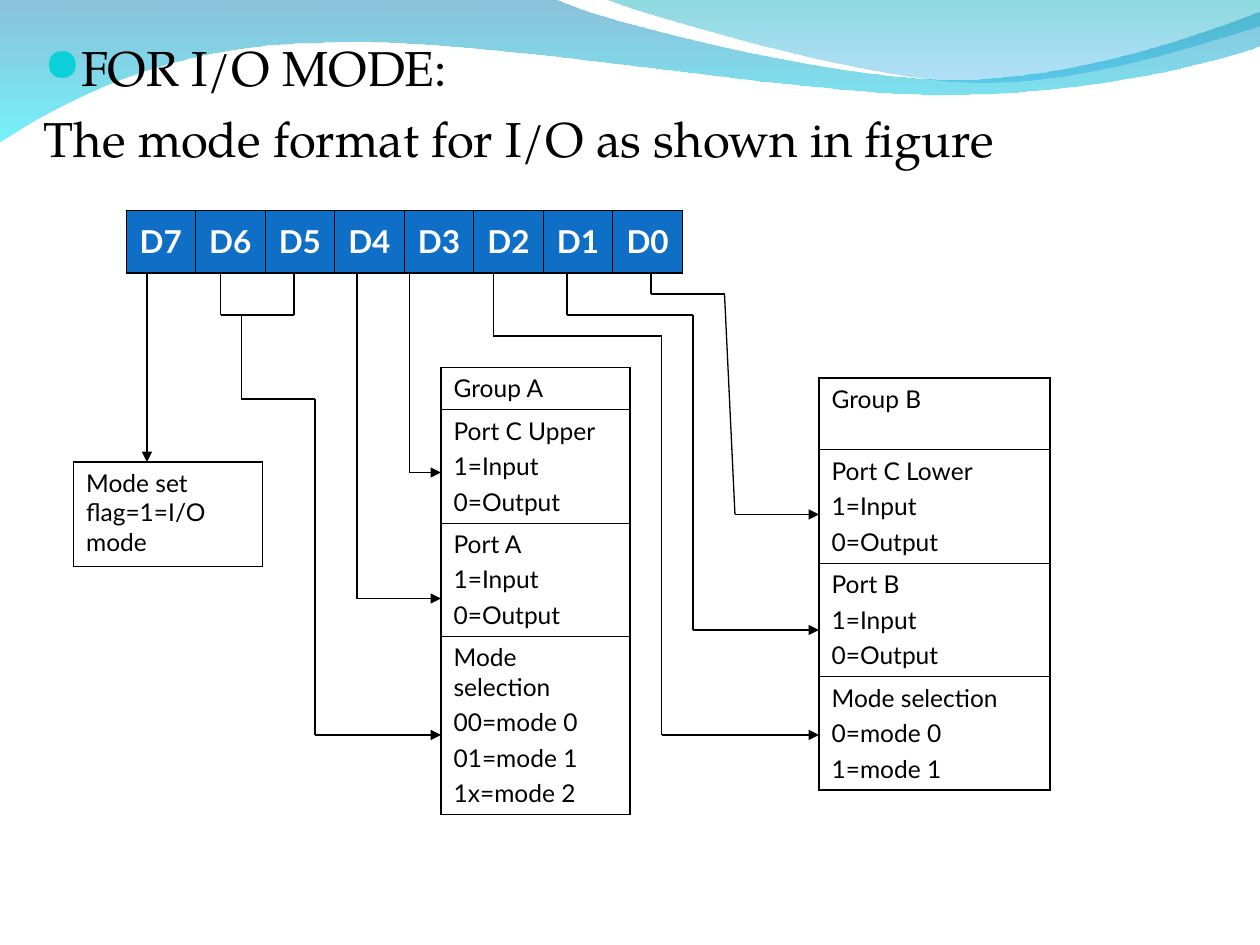
from itertools import pairwise
from lxml.etree import SubElement
from pptx import Presentation
from pptx.dml.color import RGBColor
from pptx.enum.shapes import MSO_CONNECTOR
from pptx.enum.text import MSO_ANCHOR, PP_ALIGN
from pptx.oxml import parse_xml
from pptx.oxml.ns import nsdecls, qn
from pptx.util import Inches, Pt

BLACK = RGBColor(0x00, 0x00, 0x00)
WHITE = RGBColor(0xFF, 0xFF, 0xFF)
BLUE = RGBColor(0x0F, 0x6F, 0xC6)
DEEP_BLUE = RGBColor(0x00, 0x79, 0xAF)
CYAN = RGBColor(0x00, 0xEB, 0xF8)
TEAL = RGBColor(0x00, 0xAD, 0xB6)
SKY = RGBColor(0x00, 0x9B, 0xE5)
AQUA = RGBColor(0x0B, 0xD0, 0xD9)


def grid(units):
    return Inches(units / 12)


def set_border(cell, side, width):
    line = parse_xml(
        f'<a:{side} {nsdecls("a")} w="{Pt(width)}"><a:solidFill>'
        f'<a:srgbClr val="{BLACK}"/></a:solidFill></a:{side}>'
    )
    cell_properties = cell._tc.get_or_add_tcPr()
    cell_properties.insert(("lnL", "lnR", "lnT", "lnB").index(side), line)


deck = Presentation()
deck.slide_width = Inches(10)
deck.slide_height = Inches(7.5)
page = deck.slides.add_slide(deck.slide_layouts[6])

left_wave = [
    [(4.4, -0.01)],
    [(4.76, 0.17), (6.64, 0.63), (7.58, 0.63)],
    [(8.53, 0.63), (9.58, 0.26), (10, 0.09)],
    [(10.01, 0.36)],
    [(9.83, 0.44), (8.7, 0.76), (7.46, 0.75)],
    [(6.22, 0.75), (3.82, 0.28), (2.57, 0.34)],
    [(1.29, 0.35), (0.46, 0.83), (-0.01, 1.13)],
]
right_wave = [
    [(5.09, 0.11), (6.82, 0.62), (7.69, 0.65)],
    [(8.56, 0.69), (9.61, 0.32), (10, 0.21)],
    [(10, 0)],
]
for start, segments, colors, opacities in (
    ((0, -0.01), left_wave, (DEEP_BLUE, CYAN), (45, 55)),
    ((4.79, -0.01), right_wave, (TEAL, SKY), (45, 30)),
):
    builder = page.shapes.build_freeform(*map(Inches, start), scale=1.0)
    builder.add_line_segments([tuple(map(Inches, segment[-1])) for segment in segments], close=True)
    wave = builder.convert_to_shape()
    for line, segment in zip(list(wave.element.iter(qn("a:lnTo"))), segments):
        if len(segment) == 3:
            curve = parse_xml(f'<a:cubicBezTo {nsdecls("a")}/>')
            for x, y in segment:
                SubElement(curve, qn("a:pt"), x=str(Inches(x) - wave.left), y=str(Inches(y) - wave.top))
            line.getparent().replace(line, curve)
    wave.shadow.inherit = False
    wave.line.fill.background()
    wave.fill.gradient()
    wave.fill.gradient_angle = 270
    for stop, color in zip(wave.fill.gradient_stops, colors):
        stop.color.rgb = color
    for color_element, opacity in zip(wave.element.iter(qn("a:srgbClr")), opacities):
        SubElement(color_element, qn("a:alpha"), val=str(opacity * 1000))

box = page.shapes.add_textbox(Inches(0.25), Inches(0.25), Inches(9.58), Inches(6.92))
box.text_frame.word_wrap = True
box.text_frame.text = "FOR I/O MODE:\nThe mode format for I/O as shown in figure"
for para in box.text_frame.paragraphs:
    properties = para._p.get_or_add_pPr()
    properties.set("marL", str(Inches(0.3)))
    properties.set("indent", str(-Inches(0.3)))
    para.space_before = Pt(7)
    para.font.size = Pt(28)
    para.font.name = "TeX Gyre Pagella"
    para.font.color.rgb = BLACK
bullet_properties = box.text_frame.paragraphs[0]._p.pPr
for bullet in (
    f'<a:buClr {nsdecls("a")}><a:srgbClr val="{AQUA}"/></a:buClr>',
    f'<a:buSzPct {nsdecls("a")} val="95000"/>',
    f'<a:buFont {nsdecls("a")} typeface="OpenSymbol"/>',
    f'<a:buChar {nsdecls("a")} char="●"/>',
):
    bullet_properties.find(qn("a:defRPr")).addprevious(parse_xml(bullet))

bits = [f"D{number}" for number in range(7, -1, -1)]
directions = "1=Input\n0=Output"
group_a = ["Group A", f"Port C Upper\n{directions}", f"Port A\n{directions}",
           "Mode selection\n00=mode 0\n01=mode 1\n1x=mode 2"]
group_b = ["Group B", f"Port C Lower\n{directions}", f"Port B\n{directions}",
           "Mode selection\n0=mode 0\n1=mode 1"]
thin, thick = 0.45, 1.08
for left, top, width, heights, texts, outer, bottom, is_header in (
    (12, 20, 53, [0.5], bits, thin, 1.47, True),
    (42, 35, 18, [0.33, 0.9, 0.9, 1.41], group_a, thick, thick, False),
    (78, 36, 22, [0.57, 0.9, 0.9, 0.9], group_b, thick, thick, False),
    (7, 44, 18, [0.83], ["Mode set flag=1=I/O mode"], thick, thick, False),
):
    row_count = len(heights)
    column_count = len(texts) // row_count
    table = page.shapes.add_table(
        row_count, column_count, grid(left), grid(top), grid(width), Inches(sum(heights))).table
    table.first_row = is_header
    table.horz_banding = False
    for row, height in zip(table.rows, heights):
        row.height = Inches(height)
    for index, text in enumerate(texts):
        row_index, column_index = divmod(index, column_count)
        cell = table.cell(row_index, column_index)
        cell.text = text
        set_border(cell, "lnL", outer if column_index == 0 else thin)
        set_border(cell, "lnR", outer if column_index == column_count - 1 else thin)
        set_border(cell, "lnT", outer if row_index == 0 else thin)
        set_border(cell, "lnB", bottom if row_index == row_count - 1 else thin)
        if is_header:
            cell.fill.solid()
            cell.fill.fore_color.rgb = BLUE
            cell.vertical_anchor = MSO_ANCHOR.MIDDLE
        else:
            cell.fill.background()
        for para in cell.text_frame.paragraphs:
            para.alignment = PP_ALIGN.CENTER if is_header else PP_ALIGN.LEFT
            para.space_before = Pt(0 if is_header else 3.5)
            para.font.name = "Lato"
            para.font.size = Pt(18 if is_header else 14)
            para.font.bold = is_header
            para.font.color.rgb = WHITE if is_header else BLACK

for route, has_arrow in (
    ([(14, 26), (14, 44)], True),
    ([(21, 26), (21, 30), (28, 30), (28, 26)], False),
    ([(23, 30), (23, 38), (30, 38), (30, 70), (42, 70)], True),
    ([(34, 26), (34, 57), (42, 57)], True),
    ([(39, 26), (39, 45), (42, 45)], True),
    ([(47, 26), (47, 32), (63, 32), (63, 70), (78, 70)], True),
    ([(54, 26), (54, 30), (66, 30), (66, 60), (78, 60)], True),
    ([(62, 26), (62, 28), (69, 28), (70, 49), (78, 49)], True),
):
    for start, end in pairwise(route):
        connector = page.shapes.add_connector(MSO_CONNECTOR.STRAIGHT, *map(grid, start + end))
        connector.line.color.rgb = BLACK
        connector.line.width = Pt(0.75)
        shape_properties = connector.element.spPr
        SubElement(shape_properties, qn("a:effectLst"))
        if has_arrow and end == route[-1]:
            SubElement(shape_properties.find(qn("a:ln")), qn("a:tailEnd"), type="triangle")

deck.save("out.pptx")
